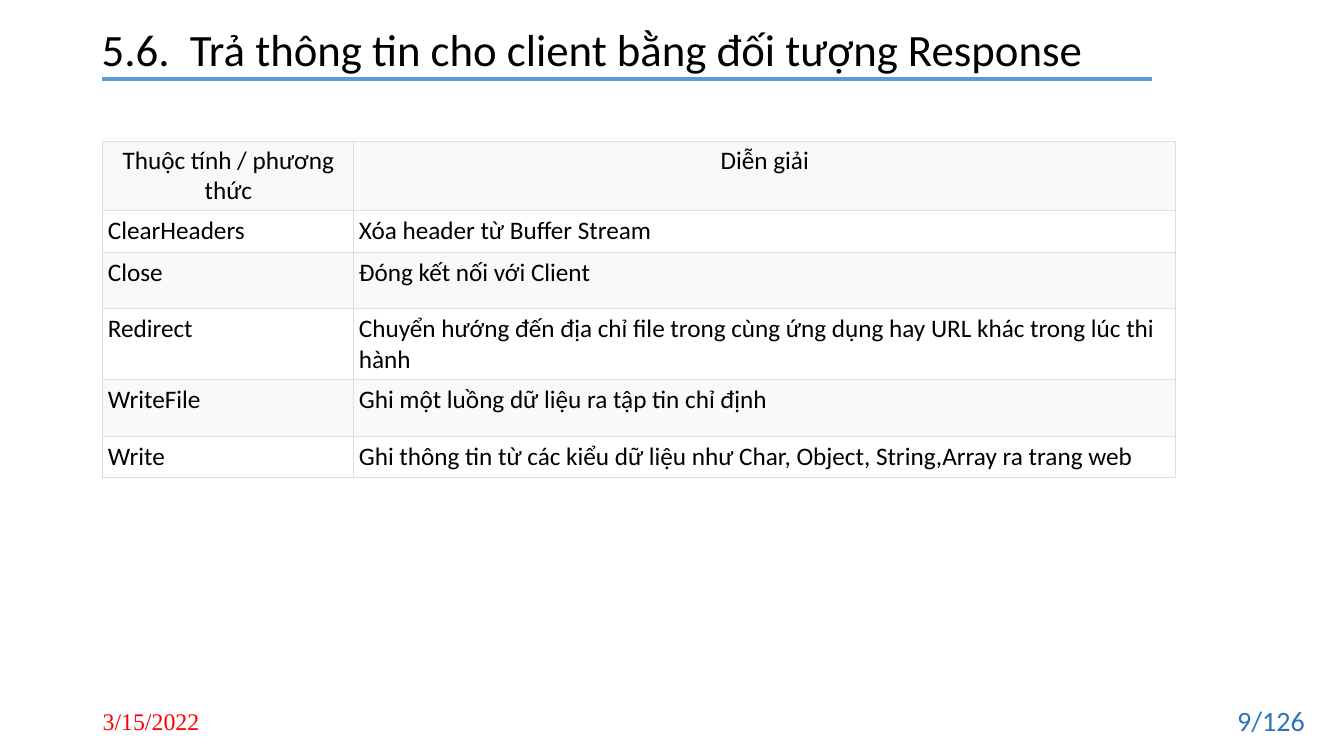
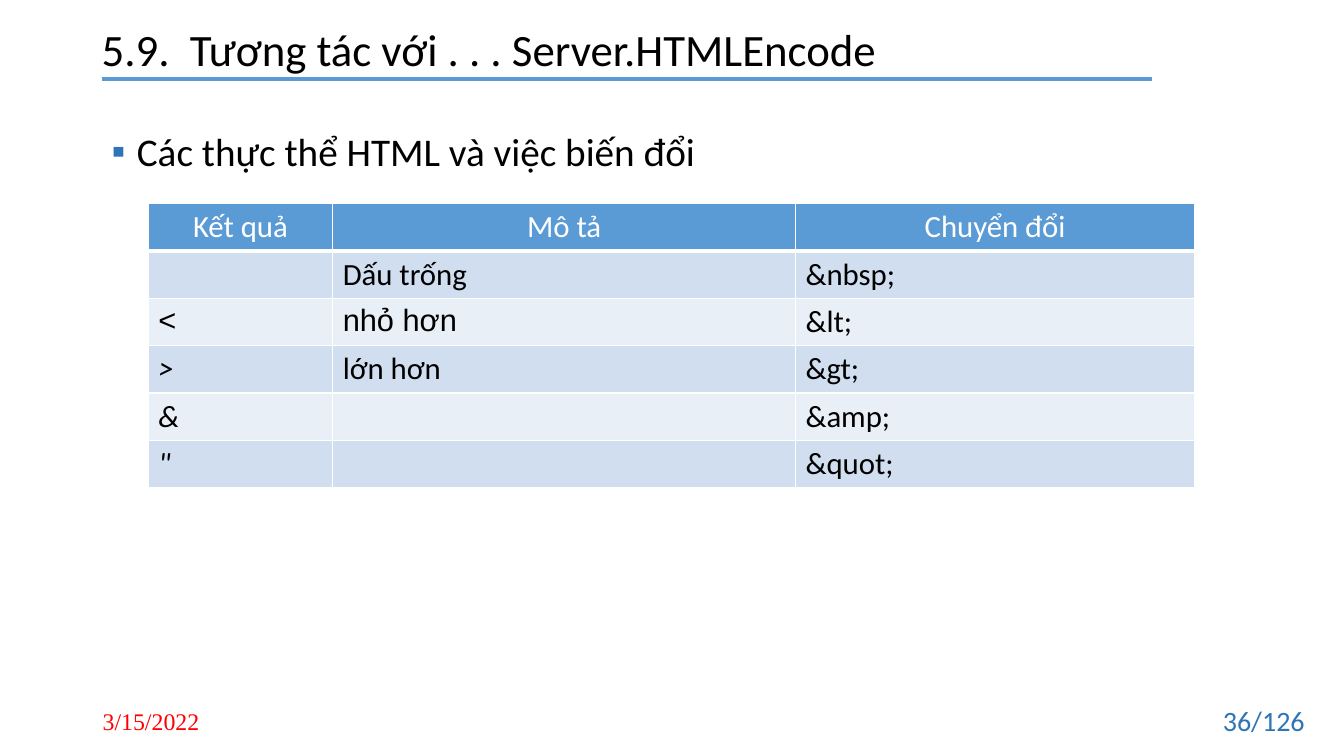
from dataclasses import dataclass

from lxml import etree
from pptx import Presentation
from pptx.dml.color import RGBColor
from pptx.enum import shapes, text
from pptx.oxml import ns
from pptx.util import Inches, Pt

BLACK = RGBColor(0x00, 0x00, 0x00)
WHITE = RGBColor(0xFF, 0xFF, 0xFF)
RED = RGBColor(0xFF, 0x00, 0x00)
ACCENT = RGBColor(0x5B, 0x9B, 0xD5)
DARK_BLUE = RGBColor(0x2E, 0x75, 0xB5)
BAND_DARK = RGBColor(0xD0, 0xDE, 0xEF)
BAND_LIGHT = RGBColor(0xE9, 0xEF, 0xF7)
PALE_GRAY = RGBColor(0xF9, 0xF9, 0xF9)
BORDER_GRAY = RGBColor(0xDD, 0xDD, 0xDD)

LEFT, CENTER, RIGHT = text.PP_ALIGN.LEFT, text.PP_ALIGN.CENTER, text.PP_ALIGN.RIGHT
TOP, MIDDLE = text.MSO_ANCHOR.TOP, text.MSO_ANCHOR.MIDDLE
DATE = "3/15/2022"
PAGE_COUNT = 126


@dataclass
class TextStyle:
    size: float
    color: RGBColor = BLACK
    font: str = "Calibri"
    align: text.PP_ALIGN = LEFT
    italic: bool = False


@dataclass
class Cell:
    words: str
    font: str = "Calibri"
    italic: bool = False


@dataclass
class TableStyle:
    size: float
    header_color: RGBColor
    header_fill: RGBColor
    bands: tuple[RGBColor, RGBColor]
    border: RGBColor
    border_width: float
    header_rule: float
    margins: tuple[float, float]
    header_margins: tuple[float, float]


TITLE = TextStyle(32)
BODY = TextStyle(28)
DATE_STYLE = TextStyle(17, RED, "Times New Roman")
PAGE_STYLE = TextStyle(20, DARK_BLUE, align=RIGHT)
GRID = TableStyle(18, BLACK, PALE_GRAY, (WHITE, PALE_GRAY), BORDER_GRAY,
                  0.75, 0.75, (0.05, 0.05), (0.04, 0.04))
BANDED = TableStyle(22, WHITE, ACCENT, (BAND_DARK, BAND_LIGHT), WHITE,
                    1, 3, (0.1, 0.05), (0.1, 0.05))

RESPONSE_ROWS = [
    ("Thuộc tính / phương thức", "Diễn giải"),
    ("ClearHeaders", "Xóa header từ Buffer Stream"),
    ("Close", "Đóng kết nối với Client"),
    ("Redirect", "Chuyển hướng đến địa chỉ file trong cùng ứng dụng hay URL khác "
                 "trong lúc thi hành"),
    ("WriteFile", "Ghi một luồng dữ liệu ra tập tin chỉ định"),
    ("Write", "Ghi thông tin từ các kiểu dữ liệu như Char, Object, String,Array "
              "ra trang web"),
]
ENTITY_ROWS = [
    ("Kết quả", "Mô tả", "Chuyển đổi"),
    ("", "Dấu trống", "&nbsp;"),
    (Cell("<", "Arial"), Cell("nhỏ hơn", "Arial"), "&lt;"),
    (Cell(">", italic=True), "lớn hơn", "&gt;"),
    (Cell("&", italic=True), "", "&amp;"),
    (Cell('"', italic=True), "", "&quot;"),
]


def write(paragraph, words: str, style: TextStyle) -> None:
    paragraph.alignment = style.align
    run = paragraph.add_run()
    run.text = words
    run.font.size = Pt(style.size)
    run.font.name = style.font
    run.font.color.rgb = style.color
    run.font.bold = False
    run.font.italic = style.italic


def add_text(slide, left: float, top: float, width: float, height: float,
             words: str, style: TextStyle, anchor=MIDDLE, spacing: float = 1.0):
    box = slide.shapes.add_textbox(Inches(left), Inches(top), Inches(width), Inches(height))
    box.text_frame.word_wrap = True
    box.text_frame.vertical_anchor = anchor
    paragraph = box.text_frame.paragraphs[0]
    paragraph.line_spacing = spacing
    write(paragraph, words, style)
    return paragraph


def add_bullet(paragraph, symbol: str, color: RGBColor) -> None:
    properties = paragraph._p.get_or_add_pPr()
    properties.set("marL", str(Inches(0.25)))
    properties.set("indent", str(-Inches(0.25)))
    bullet_color = etree.SubElement(properties, ns.qn("a:buClr"))
    etree.SubElement(bullet_color, ns.qn("a:srgbClr"), val=str(color))
    etree.SubElement(properties, ns.qn("a:buFont"), typeface="Arial")
    etree.SubElement(properties, ns.qn("a:buChar"), char=symbol)


def add_border(cell, side: str, color: RGBColor, width: float) -> None:
    line = etree.SubElement(cell._tc.get_or_add_tcPr(), ns.qn(f"a:ln{side}"), w=str(Pt(width)))
    fill = etree.SubElement(line, ns.qn("a:solidFill"))
    etree.SubElement(fill, ns.qn("a:srgbClr"), val=str(color))


def add_table(slide, left: float, top: float, widths: list[float],
              heights: list[float], rows: list[tuple], style: TableStyle) -> None:
    frame = slide.shapes.add_table(len(rows), len(widths), Inches(left), Inches(top),
                                   Inches(sum(widths)), Inches(sum(heights)))
    table = frame.table
    table.first_row = table.horz_banding = False
    for column, width in zip(table.columns, widths):
        column.width = Inches(width)
    for index, (row, height, entries) in enumerate(zip(table.rows, heights, rows)):
        row.height = Inches(height)
        header = index == 0
        across, down = style.header_margins if header else style.margins
        for cell, entry in zip(row.cells, entries):
            content = entry if isinstance(entry, Cell) else Cell(entry)
            cell.margin_left = cell.margin_right = Inches(across)
            cell.margin_top = cell.margin_bottom = Inches(down)
            # The rule under the header is shared with the row below it
            for side in "LRTB":
                under_header = (index, side) in ((0, "B"), (1, "T"))
                add_border(cell, side, style.border,
                           style.header_rule if under_header else style.border_width)
            cell.fill.solid()
            cell.fill.fore_color.rgb = (style.header_fill if header
                                        else style.bands[(index - 1) % 2])
            if content.words:
                write(cell.text_frame.paragraphs[0], content.words,
                      TextStyle(style.size, style.header_color if header else BLACK,
                                content.font, CENTER if header else LEFT, content.italic))


def add_slide(presentation, title: str, page: int):
    slide = presentation.slides.add_slide(presentation.slide_layouts[6])
    # Title and its rule
    add_text(slide, 0.91, 0.17, 11.5, 0.69, title, TITLE, spacing=0.9)
    rule = slide.shapes.add_connector(shapes.MSO_CONNECTOR.STRAIGHT, Inches(1.01),
                                      Inches(0.78), Inches(11.43), Inches(0.78))
    rule.line.color.rgb = ACCENT
    rule.line.width = Pt(3)
    etree.SubElement(rule._element.spPr, ns.qn("a:effectLst"))
    # Footer
    add_text(slide, 0.92, 6.95, 3, 0.4, DATE, DATE_STYLE)
    add_text(slide, 12.01, 6.95, 1.03, 0.4, f"{page}/{PAGE_COUNT}", PAGE_STYLE)
    return slide


def main() -> None:
    presentation = Presentation()
    presentation.slide_width = Inches(13.33)
    presentation.slide_height = Inches(7.5)

    # Response members
    slide = add_slide(presentation, "5.6.  Trả thông tin cho client bằng đối tượng Response", 9)
    add_table(slide, 1.02, 1.4, [2.49, 8.15], [0.69, 0.41, 0.56, 0.71, 0.56, 0.41],
              RESPONSE_ROWS, GRID)

    # HTML entities
    slide = add_slide(presentation, "5.9.  Tương tác với . . . Server.HTMLEncode", 36)
    paragraph = add_text(slide, 1.01, 0.98, 10.7, 3.54, "Các thực thể HTML và việc biến đổi",
                         BODY, TOP, 1.5)
    add_bullet(paragraph, "▪", DARK_BLUE)
    add_table(slide, 1.47, 2.02, [1.83, 4.59, 3.96], [0.47] * len(ENTITY_ROWS),
              ENTITY_ROWS, BANDED)

    presentation.save("out.pptx")


if __name__ == "__main__":
    main()
